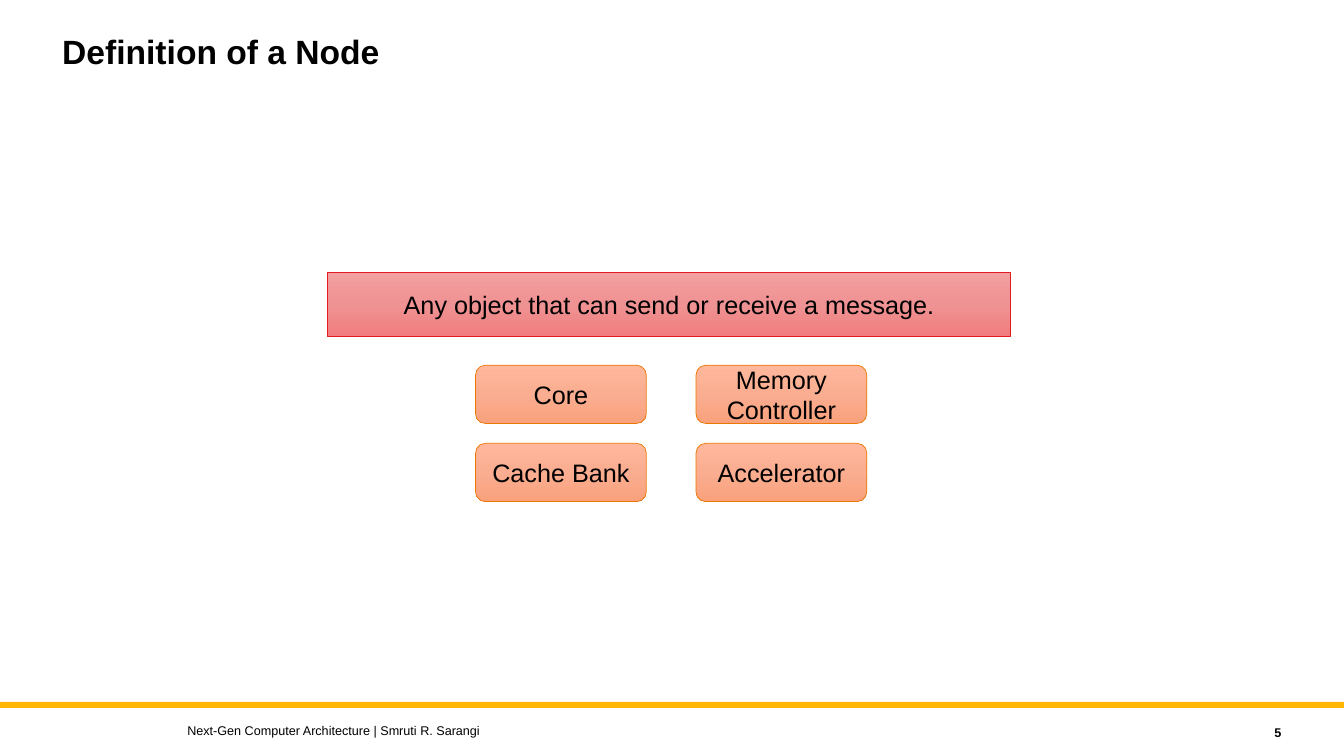
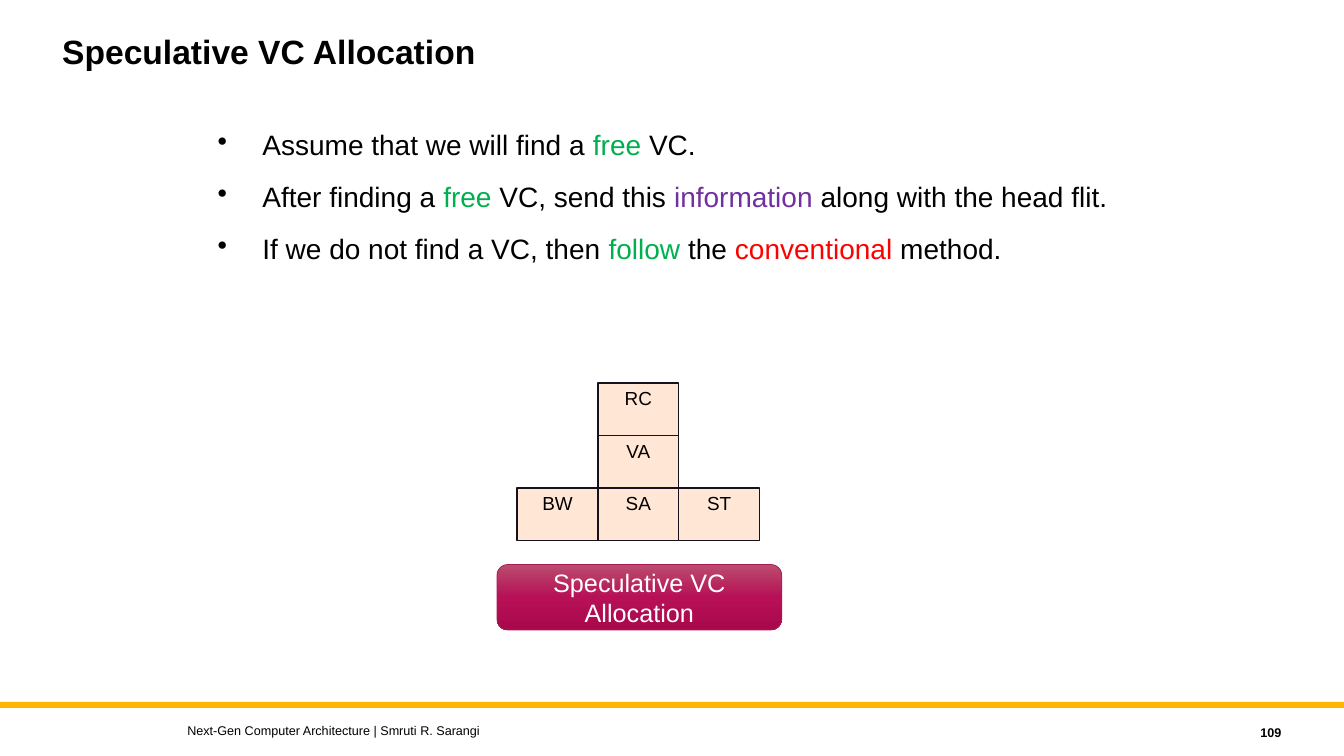
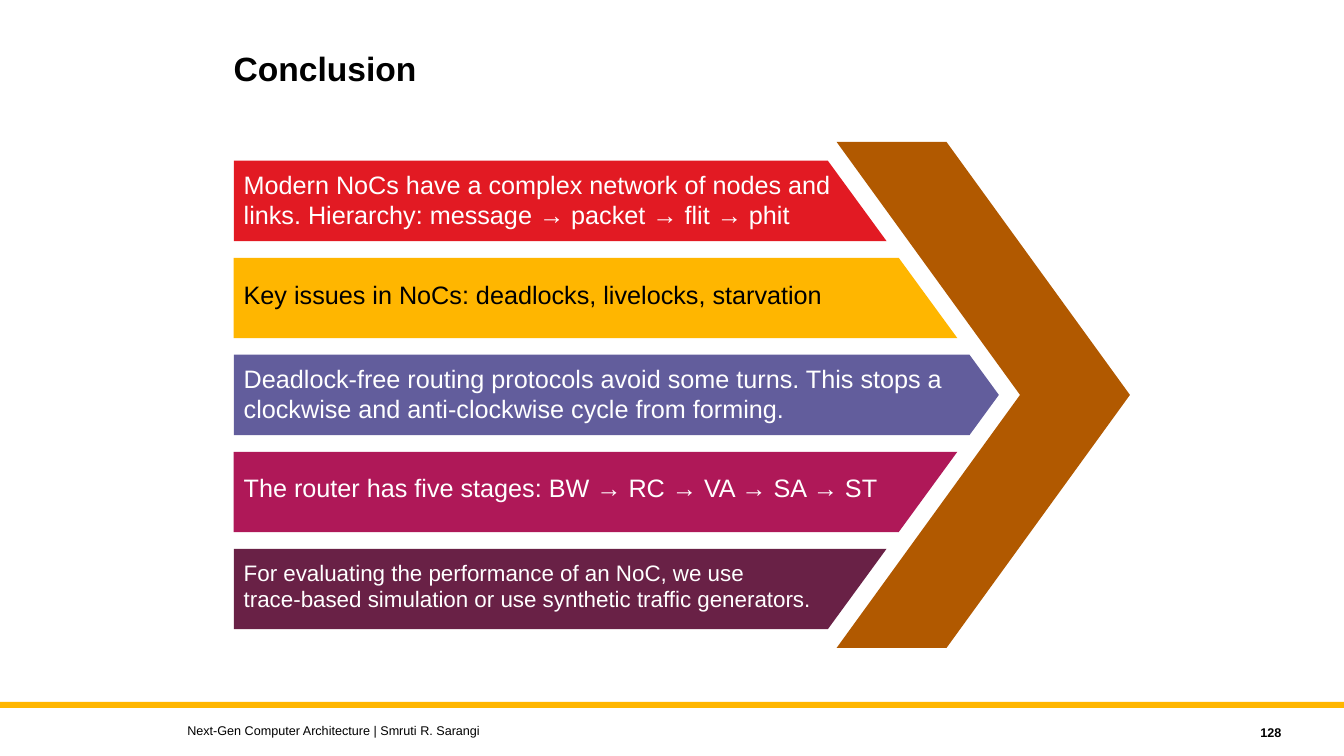
from lxml.etree import SubElement
from pptx import Presentation
from pptx.dml.color import RGBColor
from pptx.enum.shapes import MSO_SHAPE as Kind
from pptx.enum.text import MSO_ANCHOR as Anchor, PP_ALIGN as Align
from pptx.oxml.ns import qn
from pptx.util import Pt

FONT = "Arial"
BLACK, WHITE, GOLD = "000000", "FFFFFF", "FFB600"
GREEN, PURPLE, RED = "00B050", "7030A0", "FF0000"
FOOTER = "Next-Gen Computer Architecture | Smruti R. Sarangi"
TITLE_AT = (37.4, 21.6, 720, 64.8)

# Three gradient stops, then the line colour
PINK = (("F2A0A1", "EF9293", "F27D7E"), "E21A23")
PEACH = (("FFB89D", "FAAD90", "F9A17C"), "EC7700")
WINE = (("BA4D6E", "B71057", "A9084C"), "AF1858")

NODES = [["Core", "Memory Controller"], ["Cache Bank", "Accelerator"]]

POINTS = [
    [("Assume that we will find a ", BLACK), ("free", GREEN), (" VC.", BLACK)],
    [("After finding a ", BLACK), ("free", GREEN), (" VC, send this ", BLACK),
     ("information", PURPLE), (" along with the head flit.", BLACK)],
    [("If we do not find a VC, then ", BLACK), ("follow", GREEN),
     (" the ", BLACK), ("conventional", RED), (" method.", BLACK)],
]
# Stage name, column, row
STAGES = [("RC", 1, 0), ("VA", 1, 1), ("BW", 0, 2), ("SA", 1, 2), ("ST", 2, 2)]

# Bar colour, text colour, text size, drop of the text below the bar top, lines
LESSONS = [
    ("E21A23", WHITE, 18, 2.6,
     ["Modern NoCs have a complex network of nodes and",
      "links. Hierarchy: message → packet → flit → phit"]),
    (GOLD, BLACK, 18, 12.2,
     ["Key issues in NoCs: deadlocks, livelocks, starvation"]),
    ("625D9C", WHITE, 18, 2.3,
     ["Deadlock-free routing protocols avoid some turns. This stops a",
      "clockwise and anti-clockwise cycle from forming."]),
    ("AF1858", WHITE, 18, 11,
     ["The router has five stages: BW → RC → VA → SA → ST"]),
    ("692146", WHITE, 16, 3.5,
     ["For evaluating the performance of an NoC, we use",
      "trace-based simulation or use synthetic traffic generators."]),
]


def rgb(code):
    return RGBColor.from_string(code)


def write(shape, paras, size=18, color=BLACK, bold=False, align=Align.LEFT,
          anchor=Anchor.TOP, spacing=None, gap=0, bullet=0, inset=(7.2, 3.6)):
    """Fill a shape with paragraphs, each a string or a list of (text, colour)."""
    frame = shape.text_frame
    frame.word_wrap = True
    frame.vertical_anchor = anchor
    frame.margin_left = frame.margin_right = Pt(inset[0])
    frame.margin_top = frame.margin_bottom = Pt(inset[1])
    for i, para in enumerate(paras):
        p = frame.add_paragraph() if i else frame.paragraphs[0]
        p.alignment = align
        if spacing:
            p.line_spacing = spacing
        if gap and i:
            p.space_before = Pt(gap)
        if bullet:
            props = p._p.get_or_add_pPr()
            props.set("marL", str(Pt(bullet)))
            props.set("indent", str(-Pt(bullet)))
            SubElement(props, qn("a:buChar")).set("char", "•")
        for text, tone in [(para, color)] if isinstance(para, str) else para:
            run = p.add_run()
            run.text = text
            run.font.name, run.font.size, run.font.bold = FONT, Pt(size), bold
            run.font.color.rgb = rgb(tone)


def label(slide, at, paras, **style):
    write(slide.shapes.add_textbox(*map(Pt, at)), paras, **style)


def paint(shape, fill, line=None, width=0.5):
    shape.shadow.inherit = False
    shape.fill.solid()
    shape.fill.fore_color.rgb = rgb(fill)
    if line:
        shape.line.color.rgb = rgb(line)
        shape.line.width = Pt(width)
    else:
        shape.line.fill.background()


def panel(slide, kind, at, theme, text, color=BLACK):
    """Add a shape with a top-to-bottom gradient and centred text."""
    tones, line = theme
    shape = slide.shapes.add_shape(kind, *map(Pt, at))
    paint(shape, tones[0], line)
    shape.fill.gradient()
    shape.fill.gradient_angle = 270
    stops = next(shape.element.spPr.iter(qn("a:gsLst")))
    stops.clear()
    for i, tone in enumerate(tones):
        stop = SubElement(stops, qn("a:gs"), pos=str(i * 50000))
        SubElement(stop, qn("a:srgbClr"), val=tone)
    write(shape, [text], color=color, align=Align.CENTER, anchor=Anchor.MIDDLE)


def outline(slide, points, fill):
    first, *rest = [(Pt(x), Pt(y)) for x, y in points]
    maker = slide.shapes.build_freeform(*first)
    maker.add_line_segments(rest, close=True)
    paint(maker.convert_to_shape(), fill)


def new_slide(deck, title, number, at=TITLE_AT):
    slide = deck.slides.add_slide(deck.slide_layouts[6])
    band = slide.shapes.add_shape(Kind.RECTANGLE, 0, Pt(501.3), Pt(960), Pt(4.3))
    paint(band, GOLD)
    label(slide, at, [title], size=24, bold=True, spacing=0.9)
    label(slide, (126.7, 512.6, 576, 18), [FOOTER], size=9, anchor=Anchor.MIDDLE)
    label(slide, (821.5, 514.1, 100.8, 18), [str(number)], size=9, bold=True,
          align=Align.RIGHT, anchor=Anchor.MIDDLE)
    return slide


def node_slide(deck):
    slide = new_slide(deck, "Definition of a Node", 5)
    panel(slide, Kind.RECTANGLE, (234, 194.5, 488, 45.7), PINK,
          "Any object that can send or receive a message.")
    for row, names in enumerate(NODES):
        for col, name in enumerate(names):
            at = (339.7 + 157.5 * col, 260.9 + 55.8 * row, 122, 41.6)
            panel(slide, Kind.ROUNDED_RECTANGLE, at, PEACH, name)


def stage_slide(deck):
    slide = new_slide(deck, "Speculative VC Allocation", 109)
    label(slide, (148.3, 87.8, 677.5, 147.6), POINTS, size=20, gap=13, bullet=32)
    wide, high = 57.7, 37.5
    for name, col, row in STAGES:
        at = (369.4 + wide * col, 273.6 + high * row, wide, high)
        cell = slide.shapes.add_shape(Kind.RECTANGLE, *map(Pt, at))
        paint(cell, "FFE6D5", "15111D", 1)
        write(cell, [name], size=13.5, align=Align.CENTER, inset=(5, 2.9))
    panel(slide, Kind.ROUNDED_RECTANGLE, (355, 403.2, 203.4, 46.8), WINE,
          "Speculative VC Allocation", WHITE)


def lesson_slide(deck):
    slide = new_slide(deck, "Conclusion", 128, (159.8, 33.8, 540, 64.8))
    mid, left, tip, slope = 282.1, 167, 713.5, 0.73
    back, inner, thick, half = 597.6, 728.6, 78.5, 180.7
    outline(slide, [(back, mid - half), (inner, mid), (back, mid + half),
                    (back + thick, mid + half), (inner + thick, mid),
                    (back + thick, mid - half)], "B15900")
    high, step = 57.4, 69.3
    for i, (fill, color, size, drop, lines) in enumerate(LESSONS):
        top = mid - high / 2 + step * (i - len(LESSONS) // 2)
        turns = [y for y in (top, mid, top + high) if top <= y <= top + high]
        edge = [(tip - slope * abs(y - mid), y) for y in turns]
        outline(slide, [(left, top), *edge, (left, top + high)], fill)
        label(slide, (left, top + drop, 517, 29.5 + 21.6 * len(lines)), lines,
              size=size, color=color)


def main():
    deck = Presentation()
    deck.slide_width, deck.slide_height = Pt(960), Pt(540)
    node_slide(deck)
    stage_slide(deck)
    lesson_slide(deck)
    deck.save("out.pptx")


if __name__ == "__main__":
    main()
